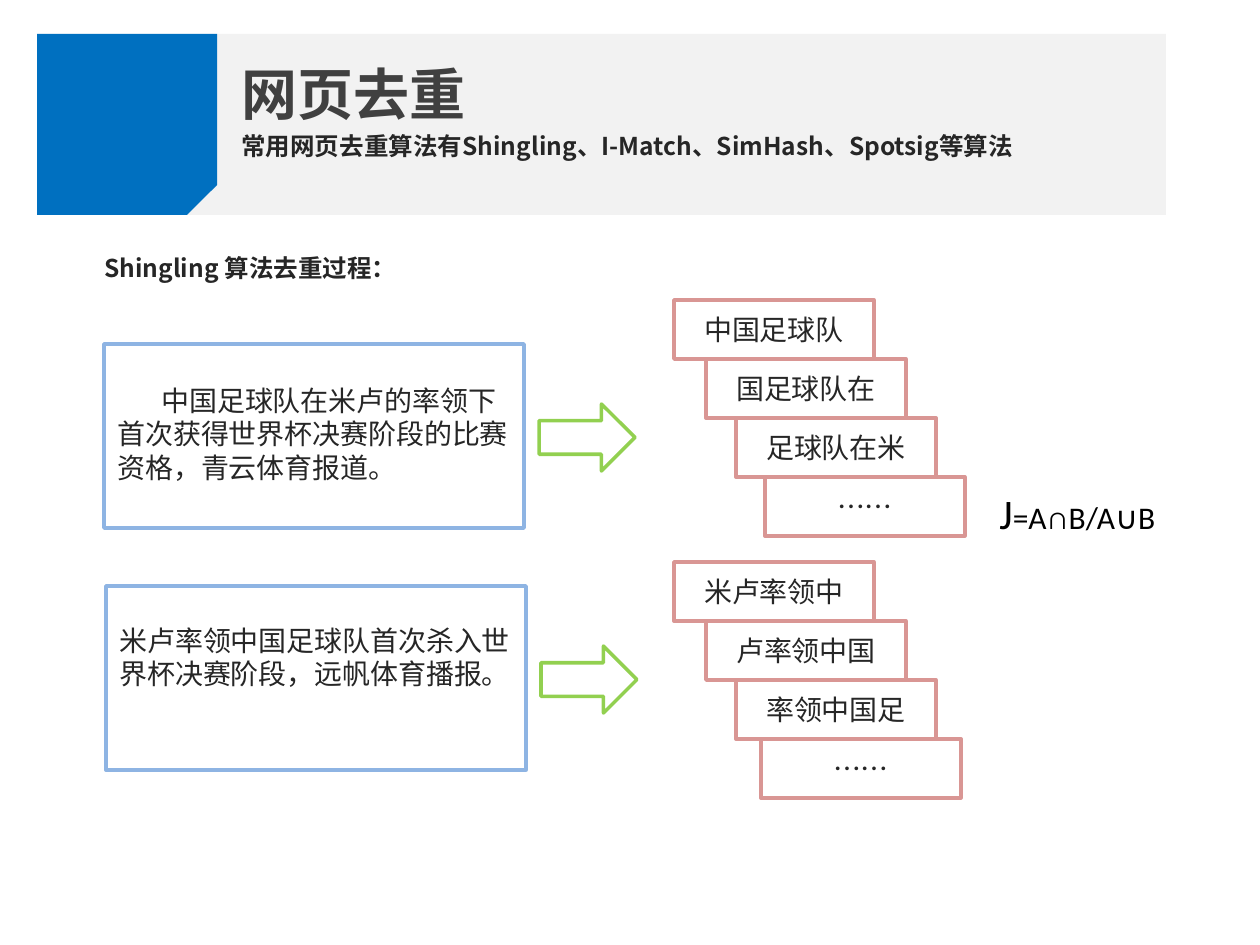
from pptx import Presentation
from pptx import util as u
from pptx.dml.color import RGBColor
from pptx.enum import shapes, text
from pptx.oxml import parse_xml
from pptx.oxml.ns import nsdecls
from dataclasses import dataclass


@dataclass(frozen=True)
class Theme:
    cjk: str = "Noto Sans CJK SC"
    latin: str = "Calibri"
    band: str = "F2F2F2"
    accent: str = "0070C0"
    title: str = "404040"
    ink: str = "262626"
    black: str = "000000"
    white: str = "FFFFFF"
    frame: str = "8EB4E3"
    arrow: str = "92D050"
    card: str = "D99694"
    title_pt: int = 32
    head_pt: int = 14
    body_pt: int = 16
    formula_pt: int = 18
    symbol_pt: int = 24
    line_pt: int = 2


T = Theme()
TITLE = "网页去重"
HEADINGS = [
    ("常用网页去重算法有Shingling、I-Match、SimHash、Spotsig等算法", (229, 125, 920, 43)),
    ("Shingling 算法去重过程：", (92, 247, 920, 43)),
]
FORMULA = [("J", T.symbol_pt), ("=A∩B/A∪B", T.formula_pt)]
PROCESSES = [
    {
        "page": "中国足球队在米卢的率领下首次获得世界杯决赛阶段的比赛资格，青云体育报道。",
        "indent": 44,
        "left": 104, "top": 344, "text_top": 377, "text_height": 115,
        "shingles": ["中国足球队", "国足球队在", "足球队在米", "……"],
        "card_lefts": [674, 706, 736, 765], "card_top": 300,
    },
    {
        "page": "米卢率领中国足球队首次杀入世界杯决赛阶段，远帆体育播报。",
        "indent": 0,
        "left": 106, "top": 586, "text_top": 617, "text_height": 81,
        "shingles": ["米卢率领中", "卢率领中国", "率领中国足", "……"],
        "card_lefts": [674, 706, 736, 761], "card_top": 562,
    },
]
FRAME_W, FRAME_H = 420, 184
ARROW_DX, ARROW_DY, ARROW_W, ARROW_H = 435, 60, 96, 67
CARD_W, CARD_H = 200, 59


def px(n):
    return u.Emu(round(n * 914400 / 126))


def rgb(color):
    return RGBColor.from_string(color)


def add_shape(s, kind, box, fill=None, line=None):
    sp = s.shapes.add_shape(kind, *map(px, box))
    sp.shadow.inherit = False
    if fill:
        sp.fill.solid()
        sp.fill.fore_color.rgb = rgb(fill)
    else:
        sp.fill.background()
    if line:
        sp.line.color.rgb = rgb(line)
        sp.line.width = u.Pt(T.line_pt)
    else:
        sp.line.fill.background()
    return sp


def write(tf, words, size, color=T.ink, bold=False, align=text.PP_ALIGN.LEFT):
    p = tf.paragraphs[0]
    p.alignment = align
    r = p.add_run()
    r.text = words
    r._r.get_or_add_rPr().append(
        parse_xml(f'<a:ea {nsdecls("a")} typeface="{T.cjk}"/>'))
    p.font.name = T.cjk
    p.font.size = u.Pt(size)
    p.font.bold = bold
    p.font.color.rgb = rgb(color)
    return p


def add_text(s, box, wrap=True):
    tf = s.shapes.add_textbox(*map(px, box)).text_frame
    tf.word_wrap = wrap
    return tf


def add_header(s):
    add_shape(s, shapes.MSO_SHAPE.RECTANGLE, (37, 34, 1129, 181), T.band)
    block = add_shape(s, shapes.MSO_SHAPE.SNIP_1_RECTANGLE, (37, 34, 180, 181), T.accent)
    block._element.spPr.xfrm.set("flipV", "1")

    title = s.shapes.title
    s.shapes._spTree.append(title._element)
    title.left, title.top, title.width, title.height = map(px, (229, 20, 921, 115))
    tf = title.text_frame
    tf.auto_size = text.MSO_AUTO_SIZE.NONE
    tf.vertical_anchor = text.MSO_ANCHOR.TOP
    write(tf, TITLE, T.title_pt, T.title, True).line_spacing = 1.5

    for words, box in HEADINGS:
        write(add_text(s, box), words, T.head_pt, bold=True)


def add_process(s, item):
    left, top = item["left"], item["top"]
    add_shape(s, shapes.MSO_SHAPE.RECTANGLE, (left, top, FRAME_W, FRAME_H), line=T.frame)
    add_shape(s, shapes.MSO_SHAPE.RIGHT_ARROW,
              (left + ARROW_DX, top + ARROW_DY, ARROW_W, ARROW_H), line=T.arrow)

    tf = add_text(s, (left + 1, item["text_top"], FRAME_W - 2, item["text_height"]))
    p = write(tf, item["page"], T.body_pt)
    p._p.get_or_add_pPr().set("indent", str(px(item["indent"])))

    for i, (words, x) in enumerate(zip(item["shingles"], item["card_lefts"])):
        card = add_shape(s, shapes.MSO_SHAPE.RECTANGLE,
                         (x, item["card_top"] + i * CARD_H, CARD_W, CARD_H), T.white, T.card)
        card.text_frame.vertical_anchor = text.MSO_ANCHOR.MIDDLE
        write(card.text_frame, words, T.body_pt, align=text.PP_ALIGN.CENTER)


def add_formula(s):
    p = add_text(s, (987, 481, 192, 63), wrap=False).paragraphs[0]
    for words, size in FORMULA:
        r = p.add_run()
        r.text = words
        r.font.size = u.Pt(size)
    p.font.name = T.latin
    p.font.color.rgb = rgb(T.black)


def main():
    prs = Presentation()
    prs.slide_width, prs.slide_height = px(1260), px(945)
    s = prs.slides.add_slide(prs.slide_layouts[5])
    add_header(s)
    for item in PROCESSES:
        add_process(s, item)
    add_formula(s)
    prs.save("out.pptx")


if __name__ == "__main__":
    main()
